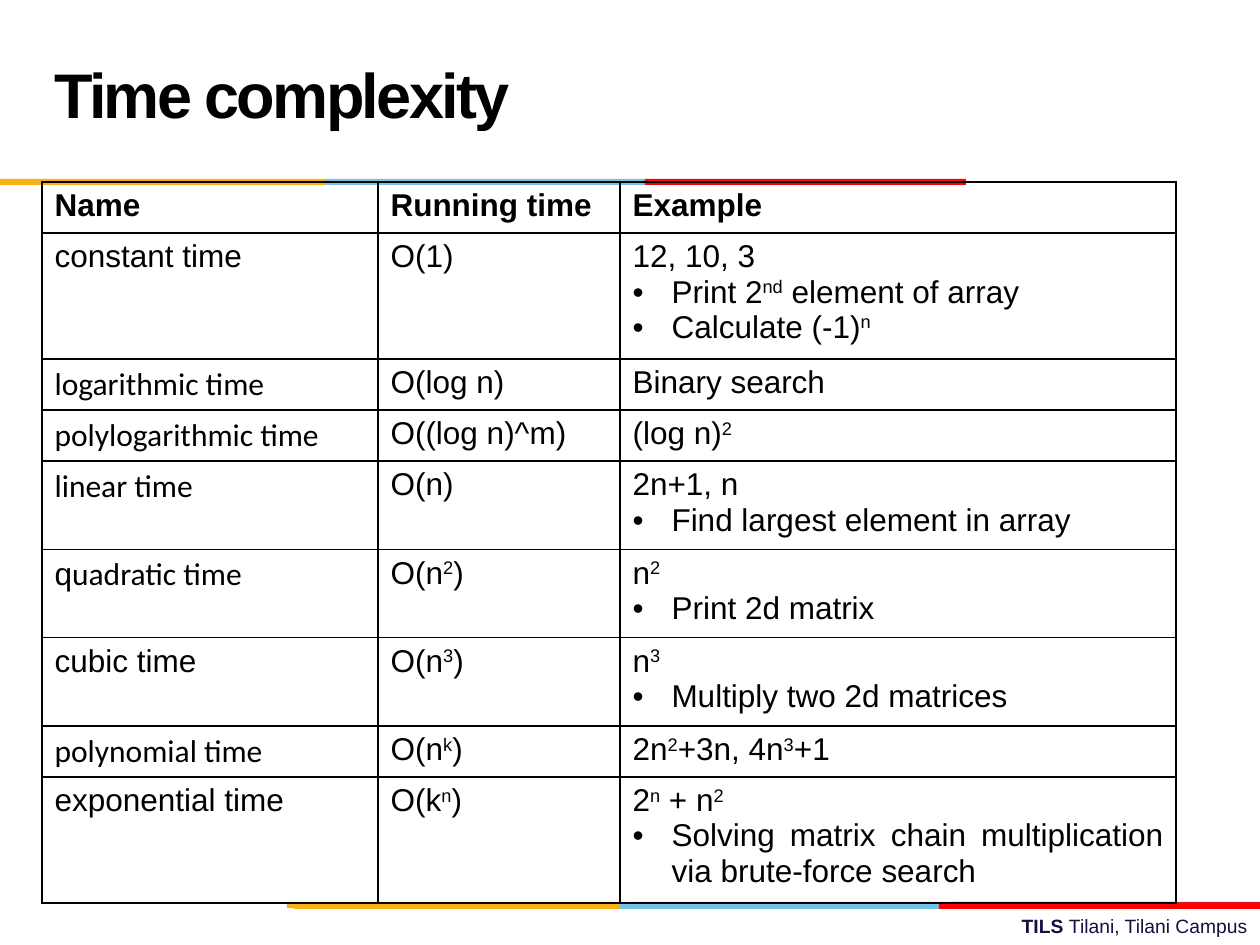
"""Build the time complexity slide: title, colour stripes, table and footer."""
from lxml.etree import SubElement
from pptx import Presentation
from pptx.dml.color import RGBColor
from pptx.enum.shapes import MSO_SHAPE
from pptx.enum.text import MSO_ANCHOR, PP_ALIGN
from pptx.oxml import parse_xml
from pptx.oxml.ns import nsdecls, qn
from pptx.util import Emu, Pt

PX = 914400 // 126
BLACK = RGBColor(0x00, 0x00, 0x00)
NAVY = RGBColor(0x10, 0x11, 0x41)
AMBER = RGBColor(0xFC, 0xB0, 0x17)
SKY = RGBColor(0x76, 0xC2, 0xE5)
CRIMSON = RGBColor(0xE3, 0x1C, 0x24)
RED = RGBColor(0xFF, 0x00, 0x00)


def px(*lengths):
    return [Emu(length * PX) for length in lengths]


def add_run(paragraph, text, size, color=BLACK, bold=False, font="Arial"):
    run = paragraph.add_run()
    run.text = text
    run.font.name = font
    run.font.size = Pt(size)
    run.font.bold = bold
    run.font.color.rgb = color
    return run._r.get_or_add_rPr()


deck = Presentation()
deck.slide_width, deck.slide_height = px(1260, 945)
slide = deck.slides.add_slide(deck.slide_layouts[6])

footer = slide.shapes.add_textbox(*px(451, 908, 809, 37)).text_frame
footer.word_wrap = True
campus = footer.paragraphs[0]
campus.alignment = PP_ALIGN.RIGHT
add_run(campus, "TILS ", 11, NAVY, bold=True)
add_run(campus, "Tilani, Tilani Campus", 11, NAVY)

STRIPES = [
    (638, 902, 321, SKY), (953, 902, 307, CRIMSON), (287, 902, 355, AMBER),
    (620, 903, 321, SKY), (294, 903, 326, AMBER), (939, 903, 321, RED),
    (325, 179, 321, SKY), (0, 179, 325, AMBER), (645, 179, 321, RED),
]
for left, top, width, color in STRIPES:
    stripe = slide.shapes.add_shape(MSO_SHAPE.RECTANGLE, *px(left, top, width, 6))
    stripe.shadow.inherit = False
    stripe.fill.solid()
    stripe.fill.fore_color.rgb = color
    stripe.line.fill.background()

title = slide.shapes.add_textbox(*px(42, 21, 872, 158)).text_frame
title.word_wrap = True
title.vertical_anchor = MSO_ANCHOR.MIDDLE
heading = title.paragraphs[0]
heading.line_spacing = Pt(36)
add_run(heading, "Time complexity", 36, bold=True).set("spc", "-150")

ROWS = [
    (51, ("Name", ""), "Running time", ["Example"]),
    (118, ("constant time", ""), "O(1)",
     ["12, 10, 3", "Print 2|nd| element of array", "Calculate (-1)|n|"]),
    (51, ("", "logarithmic time"), "O(log n)", ["Binary search"]),
    (51, ("", "polylogarithmic time"), "O((log n)^m)", ["(log n)|2|"]),
    (83, ("", "linear time"), "O(n)", ["2n+1, n", "Find largest element in array"]),
    (83, ("q", "uadratic time"), "O(n|2|)", ["n|2|", "Print 2d matrix"]),
    (83, ("cubic time", ""), "O(n|3|)", ["n|3|", "Multiply two 2d matrices"]),
    (51, ("", "polynomial time"), "O(n|k|)", ["2n|2|+3n, 4n|3|+1"]),
    (118, ("exponential time", ""), "O(k|n|)",
     ["2|n| + n|2|", "Solving matrix chain multiplication via brute-force search"]),
]
COLUMNS = (336, 242, 556)
TABLE_HEIGHT = sum(row[0] for row in ROWS)
BULLET_INDENT = 39 * PX

table = slide.shapes.add_table(
    len(ROWS), len(COLUMNS), *px(42, 182, sum(COLUMNS), TABLE_HEIGHT)).table
table.first_row = table.horz_banding = False
for column, width in zip(table.columns, px(*COLUMNS)):
    column.width = width

for row_index, (height, (arial_name, calibri_name), running_time, examples) in enumerate(ROWS):
    table.rows[row_index].height = px(height)[0]
    is_header = row_index == 0
    for column_index, lines in enumerate(([arial_name], [running_time], examples)):
        cell = table.cell(row_index, column_index)
        cell.fill.background()
        for position, side in enumerate(("lnL", "lnR", "lnT", "lnB")):
            cell._tc.get_or_add_tcPr().insert(position, parse_xml(
                f'<a:{side} {nsdecls("a")} w="12700"><a:solidFill>'
                f'<a:srgbClr val="{BLACK}"/></a:solidFill></a:{side}>'))
        for line_index, line in enumerate(lines):
            frame = cell.text_frame
            paragraph = frame.add_paragraph() if line_index else frame.paragraphs[0]
            paragraph.alignment = PP_ALIGN.JUSTIFY
            if line_index:
                properties = paragraph._p.get_or_add_pPr()
                properties.set("marL", str(BULLET_INDENT))
                properties.set("indent", str(-BULLET_INDENT))
                SubElement(properties, qn("a:buFont")).set("typeface", "Arial")
                SubElement(properties, qn("a:buChar")).set("char", "•")
            for part_index, part in enumerate(line.split("|")):
                if part:
                    run_properties = add_run(paragraph, part, 18, bold=is_header)
                    if part_index % 2:
                        run_properties.set("baseline", "30000")
    if calibri_name:
        name = table.cell(row_index, 0).text_frame.paragraphs[0]
        add_run(name, calibri_name, 18, font="Calibri")

deck.save("out.pptx")
